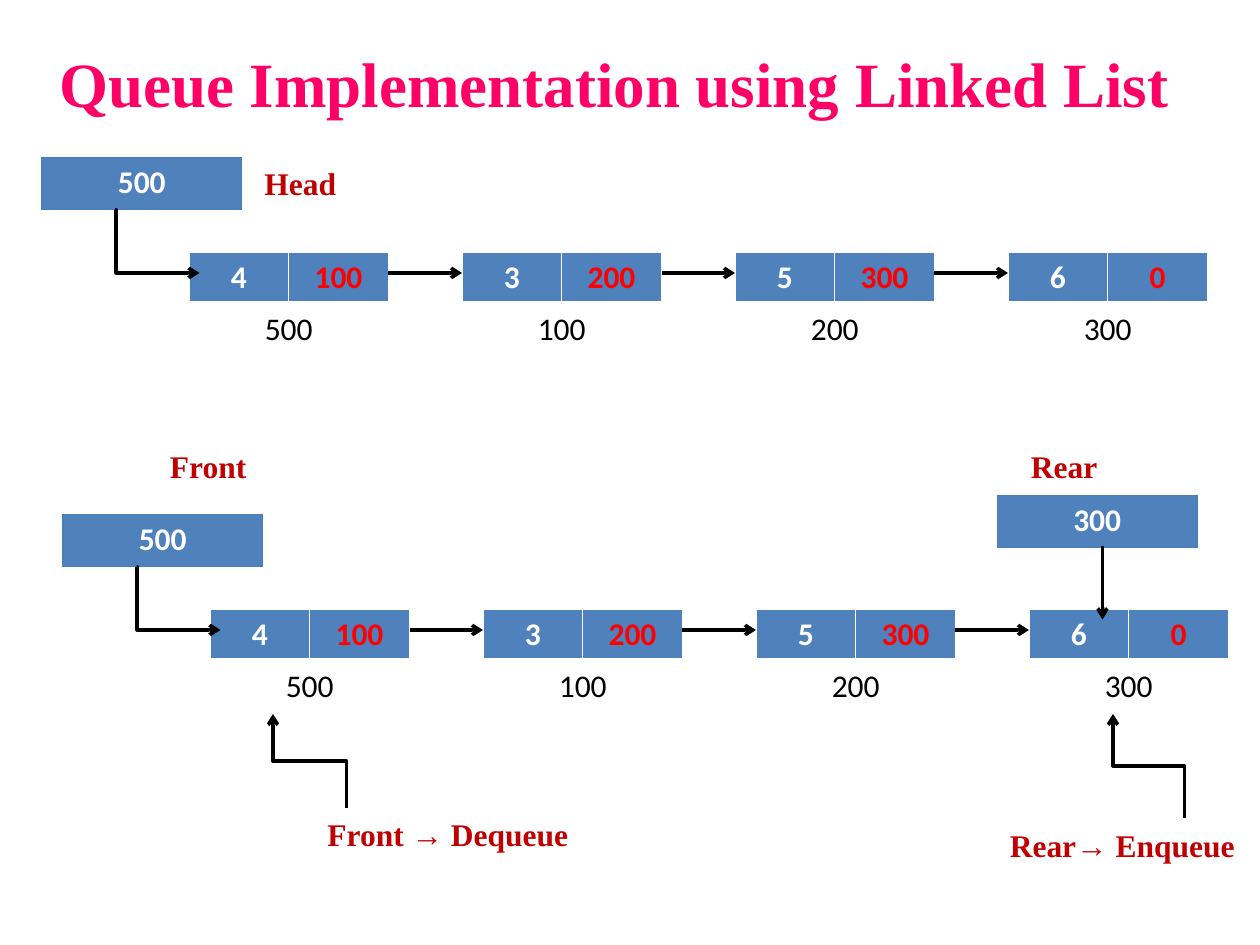
from lxml.etree import SubElement
from pptx import Presentation
from pptx.dml.color import RGBColor
from pptx.enum.shapes import MSO_CONNECTOR
from pptx.enum.text import MSO_ANCHOR, MSO_AUTO_SIZE, PP_ALIGN
from pptx.oxml import parse_xml
from pptx.oxml.ns import nsdecls, qn
from pptx.util import Inches, Pt

# The slide is a grid of 120 columns by 90 rows.
UNIT = Inches(10) // 120
NODE_WIDTH, NODE_HEIGHT, NODE_STEP = 19, 4.92, 26
NODES = [("4", "100", "500"), ("3", "200", "100"), ("5", "300", "200"), ("6", "0", "300")]
color = RGBColor.from_string

presentation = Presentation()
presentation.slide_width, presentation.slide_height = 120 * UNIT, 90 * UNIT
slide = presentation.slides.add_slide(presentation.slide_layouts[5])


def add_cells(column, row, texts, colors, fill=None, border=None, widths=(1, 1, 1, 1)):
    """Add a one-row table; widths are its left, right, top and bottom borders."""
    frame = slide.shapes.add_table(1, len(texts), round(column * UNIT), round(row * UNIT),
                                   NODE_WIDTH * UNIT, round(NODE_HEIGHT * UNIT))
    frame.table.horz_banding = False
    for cell, text, text_color in zip(frame.table.iter_cells(), texts, colors):
        cell.text = text
        paragraph = cell.text_frame.paragraphs[0]
        paragraph.alignment = PP_ALIGN.CENTER
        font = paragraph.runs[0].font
        font.name, font.size, font.bold = "Calibri", Pt(18), fill is not None
        font.color.rgb = color(text_color)
        if fill:
            cell.fill.solid()
            cell.fill.fore_color.rgb = color(fill)
        else:
            cell.fill.background()
        properties = cell._tc.get_or_add_tcPr()
        for index, (side, width) in enumerate(zip("LRTB", widths)):
            paint = (f'<a:solidFill><a:srgbClr val="{border}"/></a:solidFill>'
                     if border else "<a:noFill/>")
            properties.insert(index, parse_xml(
                f'<a:ln{side} {nsdecls("a")} w="{Pt(width)}">{paint}</a:ln{side}>'))


def add_arrow(start, end, kind=MSO_CONNECTOR.STRAIGHT):
    points = [round(value * UNIT) for value in (*start, *end)]
    arrow = slide.shapes.add_connector(kind, *points)
    arrow.line.color.rgb = color("000000")
    arrow.line.width = Pt(2)
    SubElement(arrow.line._get_or_add_ln(), qn("a:tailEnd"), type="arrow")
    SubElement(arrow._element.spPr, qn("a:effectLst"))
    return arrow


title = slide.shapes.title
title.left, title.top = 3 * UNIT, Inches(0.3)
title.width, title.height = 111 * UNIT, 15 * UNIT
title.text_frame.text = "Queue Implementation using Linked List"
title.text_frame.vertical_anchor = MSO_ANCHOR.TOP
title.text_frame.paragraphs[0].alignment = PP_ALIGN.CENTER
title_font = title.text_frame.paragraphs[0].runs[0].font
title_font.name, title_font.size, title_font.bold = "Times New Roman", Pt(36), True
title_font.color.rgb = color("FF0066")

# Two linked lists, each with a pointer box leading into its first node
for left, top in [(18, 24), (20, 58)]:
    arrow_row = top + 2
    for index, (value, link, address) in enumerate(NODES):
        column = left + index * NODE_STEP
        add_cells(column, top, [value, link], ["FFFFFF", "FF0000"],
                  "4F81BD", "FFFFFF", (1, 1, 1, 3))
        add_cells(column, top + 5, [address], ["000000"])
        if index:
            add_arrow((column - NODE_STEP + NODE_WIDTH, arrow_row), (column, arrow_row))
    add_cells(left - 14, top - 9, ["500"], ["FFFFFF"], "4F81BD", "4B7EBC", (0.75,) * 4)
    elbow = add_arrow((left - 7, top - 4), (left + 1, arrow_row), MSO_CONNECTOR.ELBOW)
    SubElement(elbow._element.spPr.prstGeom.get_or_add_avLst(), qn("a:gd"),
               name="adj1", fmla="val 800")

add_cells(95, 47.2, ["300"], ["FFFFFF"], "4F81BD", "4B7EBC", (0.75,) * 4)
add_arrow((105, 52), (105, 59))

# Upward elbows: drawn lying down around their centre, then turned a quarter
for start_column, start_row, end_column, end_row in [(33, 77, 26, 68), (112.8, 77.9, 106, 68)]:
    center_column, center_row = (start_column + end_column) / 2, (start_row + end_row) / 2
    half_length, half_width = (start_row - end_row) / 2, (start_column - end_column) / 2
    elbow = add_arrow((center_column - half_length, center_row + half_width),
                      (center_column + half_length, center_row - half_width),
                      MSO_CONNECTOR.ELBOW)
    elbow._element.spPr.find(qn("a:xfrm")).set("rot", "16200000")

for text, column, row, width in [
    ("Head", 24, 15, 0.78),
    ("Front", 15, 42, 0.81),
    ("Rear", 97, 42, 0.73),
    ("Front → Dequeue", 30, 77, 2.19),
    ("Rear→ Enqueue", 95, 78.1, 2),
]:
    label = slide.shapes.add_textbox(column * UNIT, round(row * UNIT), Inches(width), Inches(0.4))
    label.text_frame.text = text
    label.text_frame.word_wrap = False
    label.text_frame.auto_size = MSO_AUTO_SIZE.SHAPE_TO_FIT_TEXT
    label_font = label.text_frame.paragraphs[0].runs[0].font
    label_font.name, label_font.size, label_font.bold = "Times New Roman", Pt(18), True
    label_font.color.rgb = color("C00000")

presentation.save("out.pptx")
